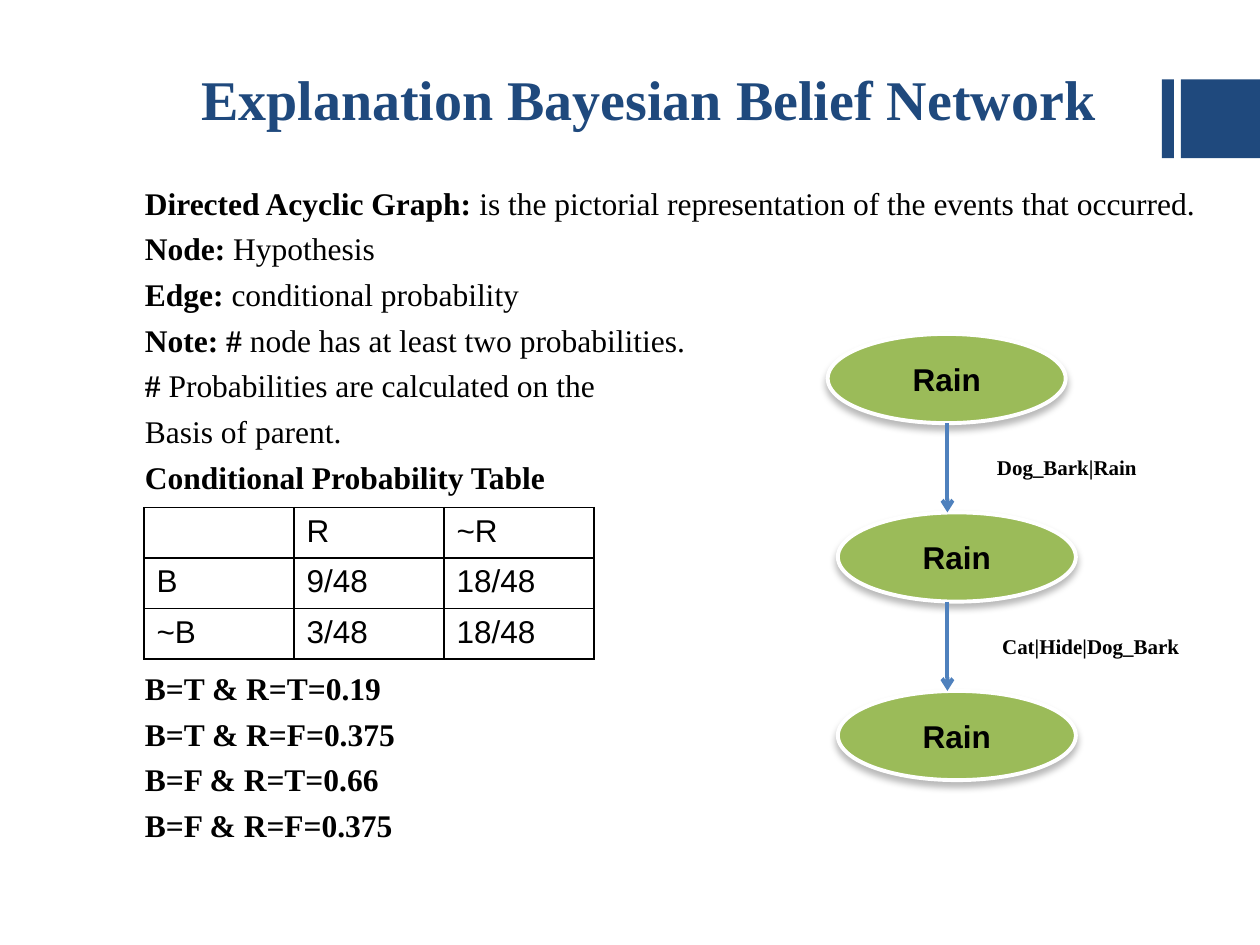
from lxml import etree
from pptx import Presentation
from pptx.dml.color import RGBColor
from pptx.enum import shapes, text
from pptx.oxml import parse_xml
from pptx.oxml.ns import nsdecls, qn
from pptx.util import Pt

COLORS = {"navy": "1F497D", "green": "9BBB59", "blue": "4F81BD", "white": "FFFFFF", "black": "000000"}
SERIF, SANS = "Times New Roman", "Arial"
LEFT, CENTER, JUSTIFY = text.PP_ALIGN.LEFT, text.PP_ALIGN.CENTER, text.PP_ALIGN.JUSTIFY
TOP, MIDDLE, BOTTOM = text.MSO_ANCHOR.TOP, text.MSO_ANCHOR.MIDDLE, text.MSO_ANCHOR.BOTTOM


def color(name):
    return RGBColor.from_string(COLORS[name])


class SlideBuilder:
    def __init__(self, slide):
        self.slide = slide

    def style(self, font, size, name, bold=False, hue="black"):
        font.size, font.name, font.bold = Pt(size), name, bold
        font.color.rgb = color(hue)

    def bar(self, left, top, width, height):
        bar = self.slide.shapes.add_shape(
            shapes.MSO_SHAPE.RECTANGLE, Pt(left), Pt(top), Pt(width), Pt(height))
        bar.shadow.inherit = False
        bar.fill.solid()
        bar.fill.fore_color.rgb = color("navy")
        bar.line.fill.background()

    def text_box(self, left, top, width, height, lines, size, align, anchor=TOP, hue="black", gap=0):
        frame = self.slide.shapes.add_textbox(Pt(left), Pt(top), Pt(width), Pt(height)).text_frame
        frame.word_wrap = True
        frame.vertical_anchor = anchor
        frame.margin_left = frame.margin_right = frame.margin_top = frame.margin_bottom = 0
        for index, (term, detail) in enumerate(lines):
            paragraph = frame.add_paragraph() if index else frame.paragraphs[0]
            paragraph.alignment = align
            paragraph.space_before = Pt(gap if index else 0)
            for words, bold in ((term, True), (detail, False)):
                if words:
                    run = paragraph.add_run()
                    run.text = words
                    self.style(run.font, size, SERIF, bold, hue)

    def node(self, left, top, width, height, label):
        node = self.slide.shapes.add_shape(
            shapes.MSO_SHAPE.OVAL, Pt(left), Pt(top), Pt(width), Pt(height))
        node.fill.solid()
        node.fill.fore_color.rgb = color("green")
        node.line.color.rgb = color("white")
        node.line.width = Pt(2.25)
        node._element.spPr.append(parse_xml(
            f'<a:effectLst {nsdecls("a")}><a:outerShdw blurRad="{Pt(4)}" dist="{Pt(3)}" dir="5400000" '
            f'rotWithShape="0"><a:srgbClr val="{COLORS["black"]}"><a:alpha val="28000"/></a:srgbClr>'
            '</a:outerShdw></a:effectLst>'))
        frame = node.text_frame
        frame.text = label
        frame.vertical_anchor = MIDDLE
        frame.paragraphs[0].alignment = CENTER
        self.style(frame.paragraphs[0].runs[0].font, 18, SANS, True)

    def arrow(self, x, start, end):
        arrow = self.slide.shapes.add_connector(
            shapes.MSO_CONNECTOR.STRAIGHT, Pt(x), Pt(start), Pt(x), Pt(end))
        arrow.line.color.rgb = color("blue")
        arrow.line.width = Pt(2.25)
        etree.SubElement(arrow.line._get_or_add_ln(), qn("a:tailEnd"), type="arrow")
        etree.SubElement(arrow._element.spPr, qn("a:effectLst"))

    def table(self, left, top, column_width, row_height, rows):
        count = len(rows[0])
        table = self.slide.shapes.add_table(
            len(rows), count, Pt(left), Pt(top),
            Pt(column_width * count), Pt(row_height * len(rows))).table
        table.first_row = table.horz_banding = False
        for column in table.columns:
            column.width = Pt(column_width)
        for row, values in zip(table.rows, rows):
            row.height = Pt(row_height)
            for cell, value in zip(row.cells, values):
                cell.text = value
                self.style(cell.text_frame.paragraphs[0].font, 18, SANS)
                self.border(cell)
                cell.fill.background()

    def border(self, cell):
        properties = cell._tc.get_or_add_tcPr()
        for side in "LRTB":
            properties.append(parse_xml(
                f'<a:ln{side} {nsdecls("a")} w="{Pt(1)}"><a:solidFill>'
                f'<a:srgbClr val="{COLORS["black"]}"/></a:solidFill></a:ln{side}>'))


def main():
    deck = Presentation()
    deck.slide_width, deck.slide_height = Pt(720), Pt(540)
    builder = SlideBuilder(deck.slides.add_slide(deck.slide_layouts[6]))

    builder.bar(664, 45.4, 6.8, 45)
    builder.bar(674.8, 45.4, 45.2, 45)
    builder.text_box(82.8, 21, 576, 54, [("Explanation Bayesian Belief Network", "")],
                     32, CENTER, BOTTOM, "navy")

    definitions = [
        ("Directed Acyclic Graph: ", "is the pictorial representation of the events that occurred."),
        ("Node: ", "Hypothesis"),
        ("Edge: ", "conditional probability"),
        ("Note: # ", "node has at least two probabilities."),
        ("#", " Probabilities are calculated on the"),
        ("", "Basis of parent."),
        ("Conditional Probability Table", ""),
    ]
    results = [("B=T & R=T=0.19", ""), ("B=T & R=F=0.375", ""),
               ("B=F & R=T=0.66", ""), ("B=F & R=F=0.375", "")]
    builder.text_box(82.8, 105, 610, 174, definitions, 18, JUSTIFY, gap=4.5)
    builder.text_box(82.8, 382.3, 300, 98, results, 18, JUSTIFY, gap=4.5)

    node_top, node_height, pitch = 190.8, 51, 102
    for level, left in enumerate((473, 478.8, 478.8)):
        builder.node(left, node_top + level * pitch, 136, node_height, "Rain")
    edges = [("Dog_Bark|Rain", 558.7, 102), ("Cat|Hide|Dog_Bark", 563.8, 119)]
    for level, (condition, left, width) in enumerate(edges):
        top = node_top + level * pitch
        builder.arrow(541.4, top + node_height, top + pitch)
        builder.text_box(left, top + 67.7, width, 17.3, [(condition, "")], 12, CENTER, MIDDLE)

    builder.table(82.3, 290, 85.7, 27.4,
                  [("", "R", "~R"), ("B", "9/48", "18/48"), ("~B", "3/48", "18/48")])
    deck.save("out.pptx")


if __name__ == "__main__":
    main()
